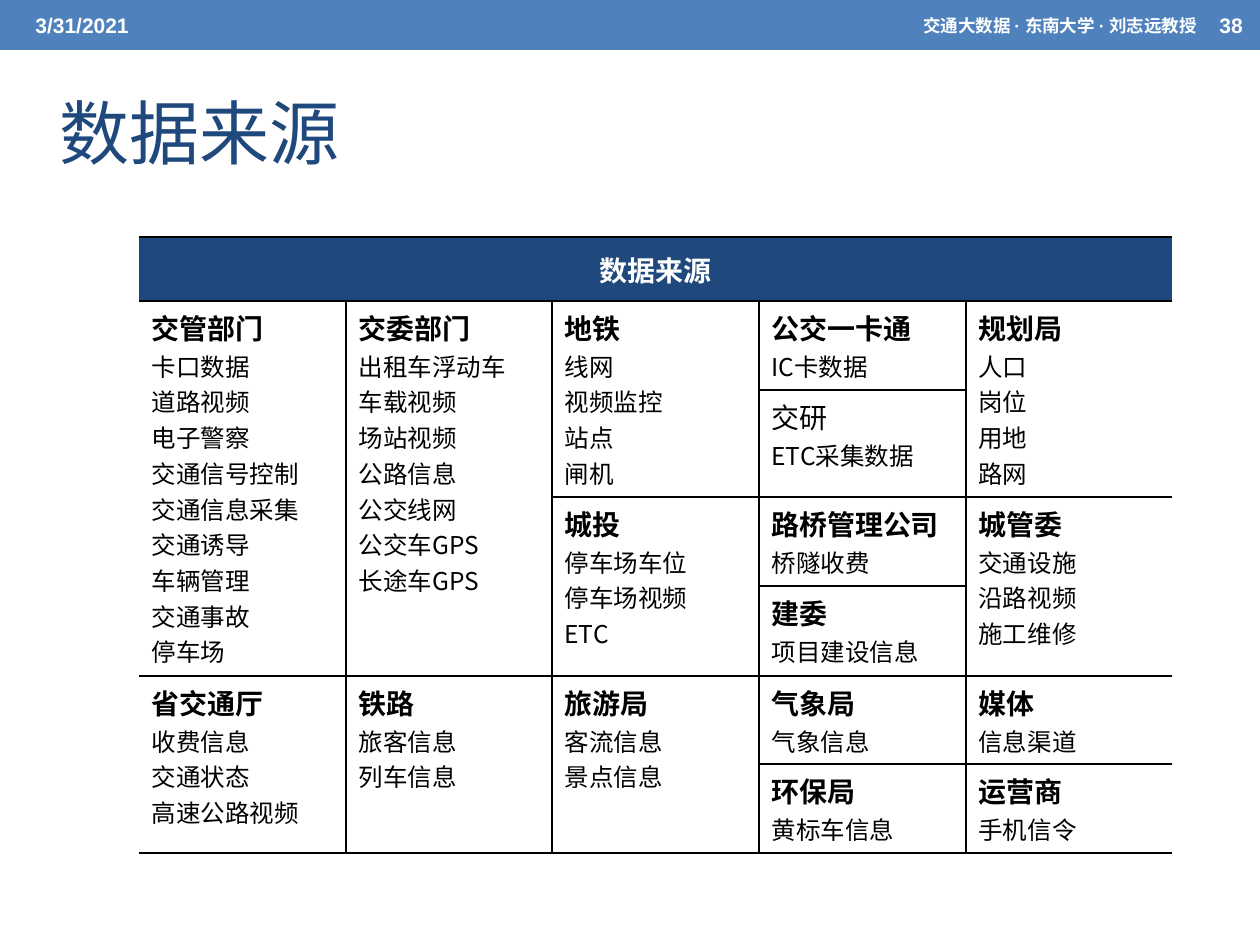
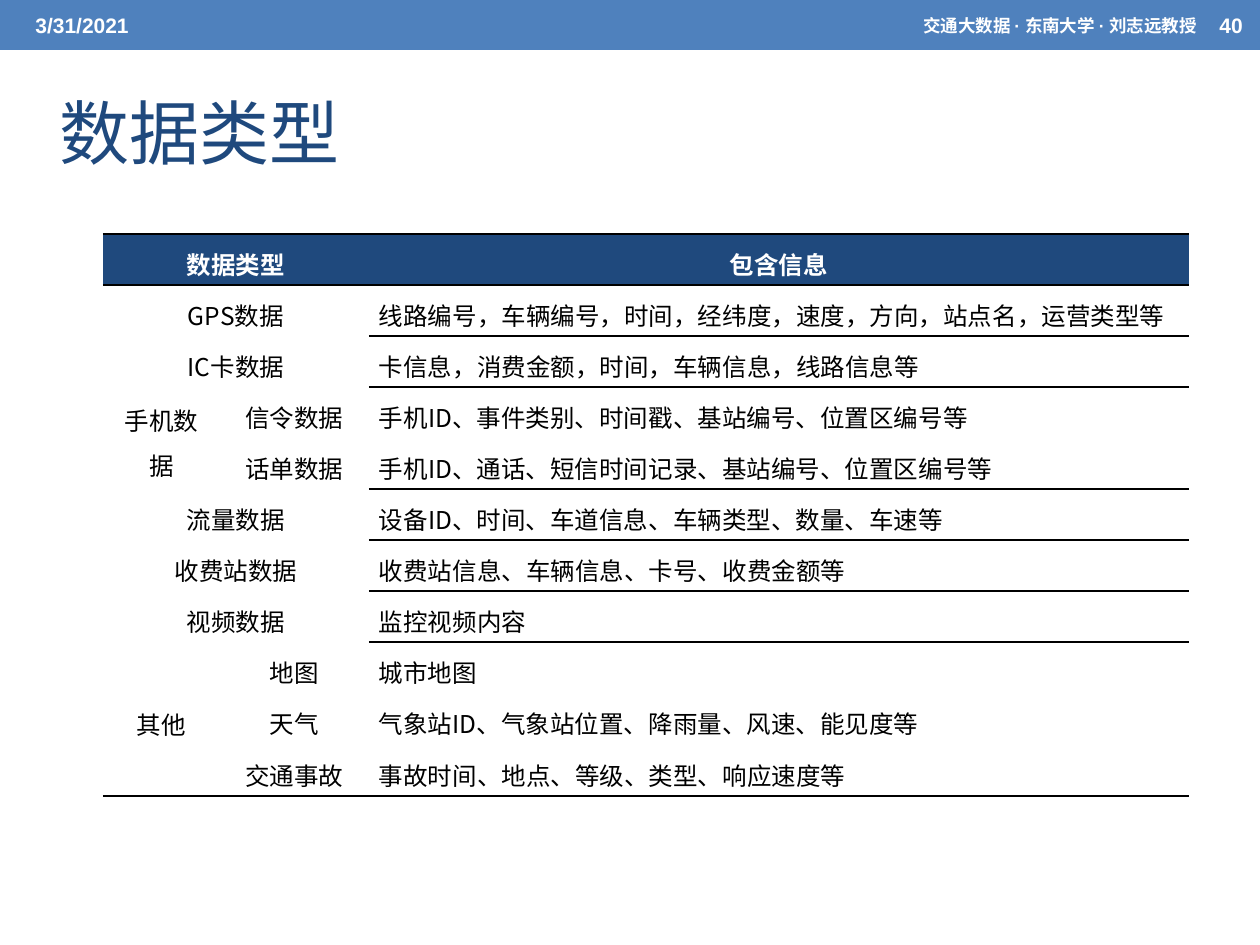
from lxml import etree
from pptx import Presentation
from pptx.dml.color import RGBColor
from pptx.enum.shapes import MSO_SHAPE
from pptx.enum.text import MSO_ANCHOR, PP_ALIGN
from pptx.oxml.ns import qn
from pptx.util import Pt

EMU_PER_PX = 914400 / 126
PAGE_WIDTH, PAGE_HEIGHT = 1260, 945
RECTANGLE = MSO_SHAPE.RECTANGLE
TOP, MIDDLE = MSO_ANCHOR.TOP, MSO_ANCHOR.MIDDLE
LEFT, CENTER, RIGHT = PP_ALIGN.LEFT, PP_ALIGN.CENTER, PP_ALIGN.RIGHT

BAND_BLUE = RGBColor(0x4F, 0x81, 0xBD)
NAVY = RGBColor(0x1F, 0x49, 0x7D)
WHITE = RGBColor(0xFF, 0xFF, 0xFF)
BLACK = RGBColor(0, 0, 0)

LATIN_FONT = "Arial"
CHINESE_FONT = "Noto Sans CJK SC"
PLAIN_TABLE_STYLE = "{2D5ABB26-0587-4C30-8999-92F81FD0307C}"
BORDER_TAGS = {"left": "a:lnL", "right": "a:lnR", "top": "a:lnT", "bottom": "a:lnB"}


def text_format(size, color, bold=False, name=CHINESE_FONT):
    return {"size": Pt(size), "color": color, "bold": bold, "name": name}


BAND_TEXT = text_format(12, WHITE, True, LATIN_FONT)
COURSE_TEXT = text_format(10, WHITE, True, LATIN_FONT)
TITLE_TEXT = text_format(40, NAVY)
SOURCE_HEADER_TEXT = text_format(16, WHITE, True)
TYPE_HEADER_TEXT = text_format(14, WHITE, True)
AGENCY_TEXT = text_format(16, BLACK, True)
LIGHT_AGENCY_TEXT = text_format(16, BLACK)
BODY_TEXT = text_format(14, BLACK)

DATE = "3/31/2021"
COURSE = "交通大数据 · 东南大学 · 刘志远教授"

SOURCE_COLUMNS = [207, 206, 207, 207, 206]
SOURCE_ROWS = [64, 89, 107, 89, 90, 88, 89]
SOURCES = [
    (1, 0, 4, "交管部门", ["卡口数据", "道路视频", "电子警察", "交通信号控制", "交通信息采集",
                       "交通诱导", "车辆管理", "交通事故", "停车场"]),
    (1, 1, 4, "交委部门", ["出租车浮动车", "车载视频", "场站视频", "公路信息", "公交线网",
                       "公交车GPS", "长途车GPS"]),
    (1, 2, 2, "地铁", ["线网", "视频监控", "站点", "闸机"]),
    (1, 3, 1, "公交一卡通", ["IC卡数据"]),
    (1, 4, 2, "规划局", ["人口", "岗位", "用地", "路网"]),
    (2, 3, 1, "交研", ["ETC采集数据"]),
    (3, 2, 2, "城投", ["停车场车位", "停车场视频", "ETC"]),
    (3, 3, 1, "路桥管理公司", ["桥隧收费"]),
    (3, 4, 2, "城管委", ["交通设施", "沿路视频", "施工维修"]),
    (4, 3, 1, "建委", ["项目建设信息"]),
    (5, 0, 2, "省交通厅", ["收费信息", "交通状态", "高速公路视频"]),
    (5, 1, 2, "铁路", ["旅客信息", "列车信息"]),
    (5, 2, 2, "旅游局", ["客流信息", "景点信息"]),
    (5, 3, 1, "气象局", ["气象信息"]),
    (5, 4, 1, "媒体", ["信息渠道"]),
    (6, 3, 1, "环保局", ["黄标车信息"]),
    (6, 4, 1, "运营商", ["手机信令"]),
]

TYPE_COLUMNS = [117, 149, 820]
TYPE_ROWS = [51] * 10 + [52]
TYPE_GROUPS = [
    ("GPS数据", [(None, "线路编号，车辆编号，时间，经纬度，速度，方向，站点名，运营类型等")]),
    ("IC卡数据", [(None, "卡信息，消费金额，时间，车辆信息，线路信息等")]),
    ("手机数据", [("信令数据", "手机ID、事件类别、时间戳、基站编号、位置区编号等"),
              ("话单数据", "手机ID、通话、短信时间记录、基站编号、位置区编号等")]),
    ("流量数据", [(None, "设备ID、时间、车道信息、车辆类型、数量、车速等")]),
    ("收费站数据", [(None, "收费站信息、车辆信息、卡号、收费金额等")]),
    ("视频数据", [(None, "监控视频内容")]),
    ("其他", [("地图", "城市地图"),
            ("天气", "气象站ID、气象站位置、降雨量、风速、能见度等"),
            ("交通事故", "事故时间、地点、等级、类型、响应速度等")]),
]


def px(length):
    return round(length * EMU_PER_PX)


def write_lines(frame, lines, align=LEFT, spacing=None):
    for index, (text, style) in enumerate(lines):
        para = frame.paragraphs[0] if index == 0 else frame.add_paragraph()
        para.alignment = align
        if spacing:
            para.line_spacing = spacing
        span = para.add_run()
        span.text = text
        for key, value in style.items():
            if key == "color":
                span.font.color.rgb = value
            else:
                setattr(span.font, key, value)
        east_asian = etree.SubElement(span.font._element, qn("a:ea"))
        east_asian.set("typeface", CHINESE_FONT)


def add_text(page, area, text, style, align=LEFT):
    box = page.shapes.add_textbox(*map(px, area))
    frame = box.text_frame
    frame.word_wrap = True
    frame.vertical_anchor = MIDDLE
    write_lines(frame, [(text, style)], align)


def add_page(deck, title, number):
    page = deck.slides.add_slide(deck.slide_layouts[6])
    band = page.shapes.add_shape(RECTANGLE, 0, 0, px(PAGE_WIDTH), px(50))
    band.shadow.inherit = False
    band.fill.solid()
    band.fill.fore_color.rgb = BAND_BLUE
    band.line.fill.background()
    add_text(page, (23, 3, 400, 45), DATE, BAND_TEXT)
    add_text(page, (544, 3, 665, 45), COURSE, COURSE_TEXT, RIGHT)
    add_text(page, (1207, 3, 53, 45), str(number), BAND_TEXT)
    add_text(page, (47, 83, 1071, 98), title, TITLE_TEXT)
    return page


def add_plain_table(page, left, top, columns, rows):
    area = (left, top, sum(columns), sum(rows))
    frame = page.shapes.add_table(len(rows), len(columns), *map(px, area))
    table = frame.table
    table.first_row = table.horz_banding = False
    table._tbl.tblPr.find(qn("a:tableStyleId")).text = PLAIN_TABLE_STYLE
    for column, width in zip(table.columns, columns):
        column.width = px(width)
    for row, height in zip(table.rows, rows):
        row.height = px(height)
    return table


def draw_borders(cell, sides):
    properties = cell._tc.get_or_add_tcPr()
    for side, tag in BORDER_TAGS.items():
        if side in sides:
            line = etree.SubElement(properties, qn(tag), w=str(Pt(1)))
            fill = etree.SubElement(line, qn("a:solidFill"))
            etree.SubElement(fill, qn("a:srgbClr"), val=str(BLACK))


def fill_cell(table, row, column, lines, sides=(), height=1, width=1, fill=WHITE,
              anchor=MIDDLE, align=LEFT, spacing=None, margins=None):
    cell = table.cell(row, column)
    last_row, last_column = row + height - 1, column + width - 1
    if height > 1 or width > 1:
        cell.merge(table.cell(last_row, last_column))
    for r in range(row, last_row + 1):
        for c in range(column, last_column + 1):
            part = table.cell(r, c)
            edges = {"left": c == column, "right": c == last_column,
                     "top": r == row, "bottom": r == last_row}
            is_origin = (r, c) == (row, column)
            draw_borders(part, [side for side in sides if is_origin or edges[side]])
            part.fill.solid()
            part.fill.fore_color.rgb = fill
    cell.vertical_anchor = anchor
    for name, value in (margins or {}).items():
        setattr(cell, name, value)
    write_lines(cell.text_frame, lines, align, spacing)


def add_source_table(page):
    table = add_plain_table(page, 139, 237, SOURCE_COLUMNS, SOURCE_ROWS)
    last = len(SOURCE_COLUMNS) - 1
    fill_cell(table, 0, 0, [("数据来源", SOURCE_HEADER_TEXT)], ("top", "bottom"),
              width=last + 1, fill=NAVY, align=CENTER)
    for row, column, height, agency, items in SOURCES:
        sides = ["top", "bottom"]
        if column > 0:
            sides.append("left")
        if column < last:
            sides.append("right")
        heading = LIGHT_AGENCY_TEXT if agency == "交研" else AGENCY_TEXT
        lines = [(agency, heading)] + [(item, BODY_TEXT) for item in items]
        fill_cell(table, row, column, lines, sides, height, anchor=TOP)


def add_type_table(page):
    table = add_plain_table(page, 103, 234, TYPE_COLUMNS, TYPE_ROWS)
    layout = {"spacing": 1.25,
              "margins": {"margin_left": px(10), "margin_right": px(10),
                          "margin_top": 0, "margin_bottom": 0}}
    centered = {"align": CENTER, **layout}
    for column, width, label in [(0, 2, "数据类型"), (2, 1, "包含信息")]:
        fill_cell(table, 0, column, [(label, TYPE_HEADER_TEXT)], ("top", "bottom"),
                  width=width, fill=NAVY, **centered)
    row = 1
    for kind, entries in TYPE_GROUPS:
        group_end = row + len(entries) - 1
        is_last_group = group_end == len(TYPE_ROWS) - 1
        has_subtypes = entries[0][0] is not None
        fill_cell(table, row, 0, [(kind, BODY_TEXT)], ["bottom"] if is_last_group else [],
                  len(entries), 1 if has_subtypes else 2, **centered)
        for subtype, info in entries:
            closing = ["bottom"] if row == group_end else []
            if has_subtypes:
                fill_cell(table, row, 1, [(subtype, BODY_TEXT)],
                          closing if is_last_group else [], **centered)
            fill_cell(table, row, 2, [(info, BODY_TEXT)], closing, **layout)
            row += 1


def main():
    deck = Presentation()
    deck.slide_width, deck.slide_height = px(PAGE_WIDTH), px(PAGE_HEIGHT)
    add_source_table(add_page(deck, "数据来源", 38))
    add_type_table(add_page(deck, "数据类型", 40))
    deck.save("out.pptx")


if __name__ == "__main__":
    main()
